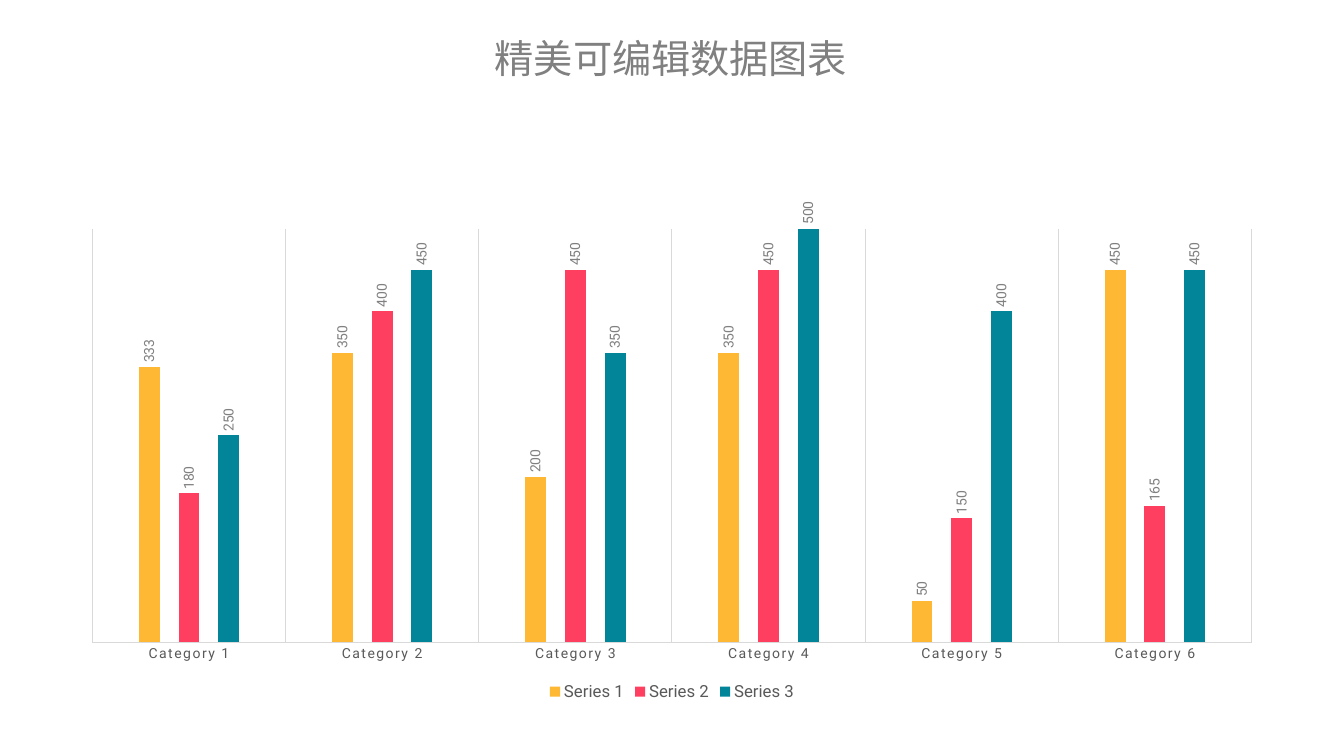
from dataclasses import dataclass

from lxml.etree import SubElement
from pptx import Presentation
from pptx.chart.data import CategoryChartData
from pptx.dml.color import RGBColor
from pptx.enum.chart import (XL_CHART_TYPE, XL_LABEL_POSITION,
                             XL_LEGEND_POSITION, XL_TICK_LABEL_POSITION,
                             XL_TICK_MARK)
from pptx.enum.text import MSO_ANCHOR, PP_ALIGN
from pptx.oxml.ns import qn
from pptx.util import Inches, Pt


@dataclass(frozen=True)
class Theme:
    title_font: str = "Noto Sans CJK SC"
    chart_font: str = "Roboto"
    title_size: int = 28
    legend_size: int = 12
    label_size: int = 10
    background: str = "FFFFFF"
    muted: str = "808080"
    text: str = "595959"
    rule: str = "D9D9D9"
    series: tuple = ("FEB834", "FF3F5F", "028599")


class SlideBuilder:
    """Places elements on a grid of 120 columns and 75 rows."""
    COLUMNS, ROWS = 120, 75

    def __init__(self, deck, theme):
        self.deck, self.theme = deck, theme
        title_only = deck.slide_layouts[5]
        self.slide = deck.slides.add_slide(title_only)
        fill = self.slide.background.fill
        fill.solid()
        fill.fore_color.rgb = RGBColor.from_string(theme.background)

    def area(self, column, row, columns, rows):
        across = self.deck.slide_width / self.COLUMNS
        down = self.deck.slide_height / self.ROWS
        return [int(length) for length in
                (column * across, row * down, columns * across, rows * down)]

    def style(self, font, name, size, color):
        font.name, font.size, font.bold = name, Pt(size), False
        font.color.rgb = RGBColor.from_string(color)

    def title(self, text, *cells):
        box = self.slide.shapes.title
        box.left, box.top, box.width, box.height = self.area(*cells)
        frame = box.text_frame
        frame.margin_left = frame.margin_right = 0
        frame.margin_top = frame.margin_bottom = 0
        frame.vertical_anchor = MSO_ANCHOR.MIDDLE
        frame.text = text
        para = frame.paragraphs[0]
        para.alignment = PP_ALIGN.CENTER
        self.style(para.font, self.theme.title_font, self.theme.title_size,
                   self.theme.muted)
        # East Asian typeface for the Chinese heading
        defaults = para._p.pPr.find(qn("a:defRPr"))
        SubElement(defaults, qn("a:ea"), typeface=self.theme.title_font)

    def column_chart(self, categories, series, cells, plot_cells):
        theme = self.theme
        data = CategoryChartData()
        data.categories = categories
        for name, values in series.items():
            data.add_series(name, values)
        chart = self.slide.shapes.add_chart(
            XL_CHART_TYPE.COLUMN_CLUSTERED, *self.area(*cells), data).chart
        chart.has_title = False
        self.style(chart.font, theme.chart_font, theme.label_size, theme.text)

        # Columns and upright value labels
        plot = chart.plots[0]
        plot.gap_width, plot.overlap = 444, -90
        plot.vary_by_categories = False
        for columns, color in zip(plot.series, theme.series):
            columns.format.fill.solid()
            columns.format.fill.fore_color.rgb = RGBColor.from_string(color)
            labels = columns.data_labels
            labels.show_value = True
            labels.position = XL_LABEL_POSITION.OUTSIDE_END
            self.style(labels.font, theme.chart_font, theme.label_size,
                       theme.muted)
            body = labels._element.find(qn("c:txPr")).find(qn("a:bodyPr"))
            body.set("rot", "-5400000")
            body.set("vert", "horz")

        self.axes(chart)
        self.legend(chart)
        self.plot_area(chart, cells, plot_cells)

    def axes(self, chart):
        theme = self.theme
        axis = chart.category_axis
        axis.major_tick_mark = axis.minor_tick_mark = XL_TICK_MARK.NONE
        axis.tick_label_position = XL_TICK_LABEL_POSITION.NEXT_TO_AXIS
        axis.has_major_gridlines = True
        for line in (axis.format.line, axis.major_gridlines.format.line):
            line.color.rgb = RGBColor.from_string(theme.rule)
            line.width = Pt(0.75)
        self.style(axis.tick_labels.font, theme.chart_font, theme.label_size,
                   theme.text)
        # Letter spacing of the category names
        text = axis._element.find(qn("c:txPr"))
        next(text.iter(qn("a:defRPr"))).set("spc", "120")

        values = chart.value_axis
        values.minimum_scale, values.maximum_scale = 0, 500
        values.major_unit = 50
        values.major_tick_mark = values.minor_tick_mark = XL_TICK_MARK.NONE
        values.has_major_gridlines = False
        values.visible = False

    def legend(self, chart):
        chart.has_legend = True
        chart.legend.position = XL_LEGEND_POSITION.BOTTOM
        chart.legend.include_in_layout = False
        self.style(chart.legend.font, self.theme.chart_font,
                   self.theme.legend_size, self.theme.text)

    def plot_area(self, chart, cells, plot_cells):
        """Fixes the plot inside the chart, both given in grid cells."""
        column, row, columns, rows = plot_cells
        area = next(chart._chartSpace.iter(qn("c:plotArea")))
        layout = area.find(qn("c:layout"))
        if layout is None:
            layout = SubElement(area, qn("c:layout"))
            area.insert(0, layout)
        manual = SubElement(layout, qn("c:manualLayout"))
        settings = {"layoutTarget": "inner", "xMode": "edge", "yMode": "edge",
                    "x": (column - cells[0]) / cells[2],
                    "y": (row - cells[1]) / cells[3],
                    "w": columns / cells[2], "h": rows / cells[3]}
        for tag, value in settings.items():
            SubElement(manual, qn(f"c:{tag}"), val=str(value))


def main():
    deck = Presentation()
    deck.slide_width, deck.slide_height = Inches(13.33), Inches(7.5)
    page = SlideBuilder(deck, Theme())

    # Heading
    page.title("精美可编辑数据图表", 4.9, 3.2, 110, 5)

    # Chart
    categories = [f"Category {number}" for number in range(1, 7)]
    series = {
        "Series 1": (333, 350, 200, 350, 50, 450),
        "Series 2": (180, 400, 450, 450, 150, 165),
        "Series 3": (250, 450, 350, 500, 400, 450),
    }
    page.column_chart(categories, series, cells=(6.1, 20, 107.8, 50),
                      plot_cells=(8.25, 22.4, 103.5, 41.3))

    deck.save("out.pptx")


if __name__ == "__main__":
    main()
